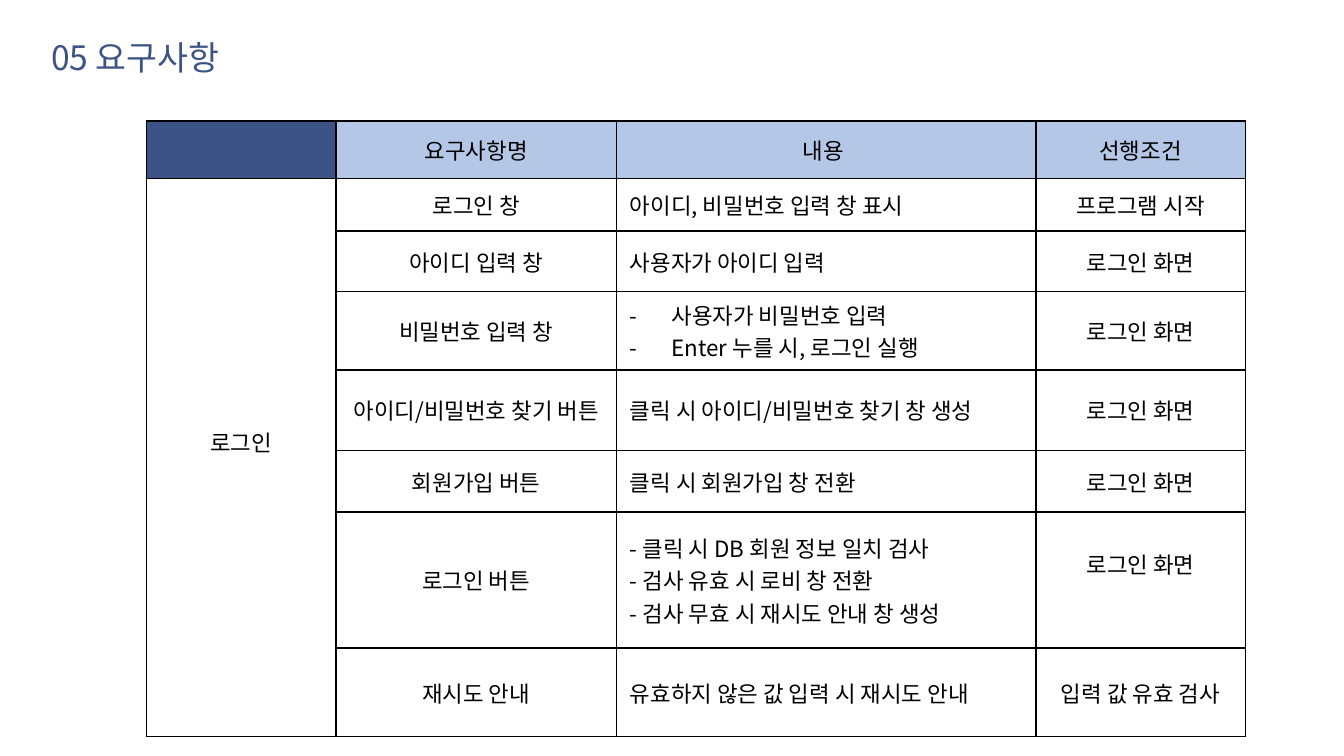
from dataclasses import dataclass

import lxml.etree
import pptx
import pptx.dml.color
import pptx.enum.text
import pptx.oxml.ns
import pptx.util

NAVY = pptx.dml.color.RGBColor(0x3B, 0x53, 0x85)
LIGHT_BLUE = pptx.dml.color.RGBColor(0xB4, 0xC7, 0xE7)
WHITE = pptx.dml.color.RGBColor(0xFF, 0xFF, 0xFF)
BLACK = pptx.dml.color.RGBColor(0x00, 0x00, 0x00)
FONT = "Noto Sans CJK KR"
SLIDE_WIDTH = pptx.util.Pt(720)
SLIDE_HEIGHT = pptx.util.Pt(405)
LEFT = pptx.enum.text.PP_ALIGN.LEFT
CENTER = pptx.enum.text.PP_ALIGN.CENTER

# Table grid, in percent of the slide's width and height
COLUMNS = (14.1, 20.87, 31.2, 15.6)
ROWS = (7.6, 7.0, 7.95, 9.07, 10.67, 8.18, 17.96, 11.73)
HEADINGS = ("요구사항명", "내용 ", "선행조건")


@dataclass
class Requirement:
    name: str
    details: tuple[str, ...]
    condition: str = "로그인 화면"
    bulleted: bool = False
    condition_bottom: float = 0.05


REQUIREMENTS = (
    Requirement("로그인 창", ("아이디, 비밀번호 입력 창 표시",), "프로그램 시작"),
    Requirement("아이디 입력 창", ("사용자가 아이디 입력",)),
    Requirement("비밀번호 입력 창",
                ("사용자가 비밀번호 입력", "Enter 누를 시, 로그인 실행"), bulleted=True),
    Requirement("아이디/비밀번호 찾기 버튼", ("클릭 시 아이디/비밀번호 찾기 창 생성",)),
    Requirement("회원가입 버튼", ("클릭 시 회원가입 창 전환",)),
    Requirement("로그인 버튼",
                ("- 클릭 시 DB 회원 정보 일치 검사", "- 검사 유효 시 로비 창 전환",
                 "- 검사 무효 시 재시도 안내 창 생성"), condition_bottom=0.3),
    Requirement("재시도 안내", ("유효하지 않은 값 입력 시 재시도 안내",), "입력 값 유효 검사"),
)


def across(percent: float) -> int:
    return round(SLIDE_WIDTH * percent / 100)


def down(percent: float) -> int:
    return round(SLIDE_HEIGHT * percent / 100)


def add_element(parent, tag: str, **attributes: str):
    return lxml.etree.SubElement(parent, pptx.oxml.ns.qn(tag), attributes)


def write(frame, *lines: str, size: float = 12, color=BLACK, align=LEFT,
          bulleted: bool = False) -> None:
    for number, line in enumerate(lines):
        paragraph = frame.add_paragraph() if number else frame.paragraphs[0]
        paragraph.alignment = align
        if bulleted:
            properties = paragraph._p.get_or_add_pPr()
            indent = pptx.util.Inches(0.31)
            properties.set("marL", str(indent))
            properties.set("indent", str(-indent))
            add_element(properties, "a:buFont", typeface=FONT)
            add_element(properties, "a:buChar", char="-")
        run = paragraph.add_run()
        run.text = line
        run.font.size = pptx.util.Pt(size)
        run.font.name = FONT
        run.font.color.rgb = color
        add_element(run._r.get_or_add_rPr(), "a:ea", typeface=FONT)


def style_cell(cell, fill=WHITE, side: float = 0.1, top: float = 0.05,
               bottom: float = 0.05) -> None:
    cell.vertical_anchor = pptx.enum.text.MSO_ANCHOR.MIDDLE
    cell.margin_left = cell.margin_right = pptx.util.Inches(side)
    cell.margin_top = pptx.util.Inches(top)
    cell.margin_bottom = pptx.util.Inches(bottom)
    cell.fill.solid()
    cell.fill.fore_color.rgb = fill
    # Borders come before the fill in the cell properties
    properties = cell._tc.get_or_add_tcPr()
    for position, edge in enumerate(("a:lnL", "a:lnR", "a:lnT", "a:lnB")):
        border = add_element(properties, edge, w=str(pptx.util.Pt(1)))
        add_element(add_element(border, "a:solidFill"), "a:srgbClr", val=str(BLACK))
        properties.insert(position, border)


def add_requirements(slide) -> None:
    table = slide.shapes.add_table(
        len(ROWS), len(COLUMNS), across(10.9), down(16),
        across(sum(COLUMNS)), down(sum(ROWS))).table
    table.first_row = table.horz_banding = False
    for column, share in zip(table.columns, COLUMNS):
        column.width = across(share)
    for row, share in zip(table.rows, ROWS):
        row.height = down(share)

    # Header row
    style_cell(table.cell(0, 0), NAVY, top=0, bottom=0)
    for column, heading in enumerate(HEADINGS, start=1):
        cell = table.cell(0, column)
        style_cell(cell, LIGHT_BLUE)
        write(cell.text_frame, heading, align=CENTER)

    # Category spanning all requirements
    for row in range(1, len(ROWS)):
        style_cell(table.cell(row, 0), side=0.13, top=0.07, bottom=0.3)
    category = table.cell(1, 0)
    category.merge(table.cell(len(ROWS) - 1, 0))
    write(category.text_frame, "로그인", align=CENTER)

    # Requirement rows
    for row, requirement in enumerate(REQUIREMENTS, start=1):
        name, details, condition = (table.cell(row, column) for column in (1, 2, 3))
        style_cell(name)
        write(name.text_frame, requirement.name, align=CENTER)
        style_cell(details)
        write(details.text_frame, *requirement.details, bulleted=requirement.bulleted)
        style_cell(condition, bottom=requirement.condition_bottom)
        write(condition.text_frame, requirement.condition, align=CENTER)


def add_title(slide) -> None:
    frame = slide.shapes.add_textbox(
        across(3.1), down(4.2), across(23.4), down(6.8)).text_frame
    frame.word_wrap = True
    frame.auto_size = pptx.enum.text.MSO_AUTO_SIZE.SHAPE_TO_FIT_TEXT
    frame.margin_left = frame.margin_right = pptx.util.Inches(0.07)
    frame.margin_top = frame.margin_bottom = pptx.util.Inches(0.04)
    write(frame, "05 요구사항", size=18, color=NAVY)


def main() -> None:
    presentation = pptx.Presentation()
    presentation.slide_width = SLIDE_WIDTH
    presentation.slide_height = SLIDE_HEIGHT
    slide = presentation.slides.add_slide(presentation.slide_layouts[6])
    add_requirements(slide)
    add_title(slide)
    presentation.save("out.pptx")


if __name__ == "__main__":
    main()
